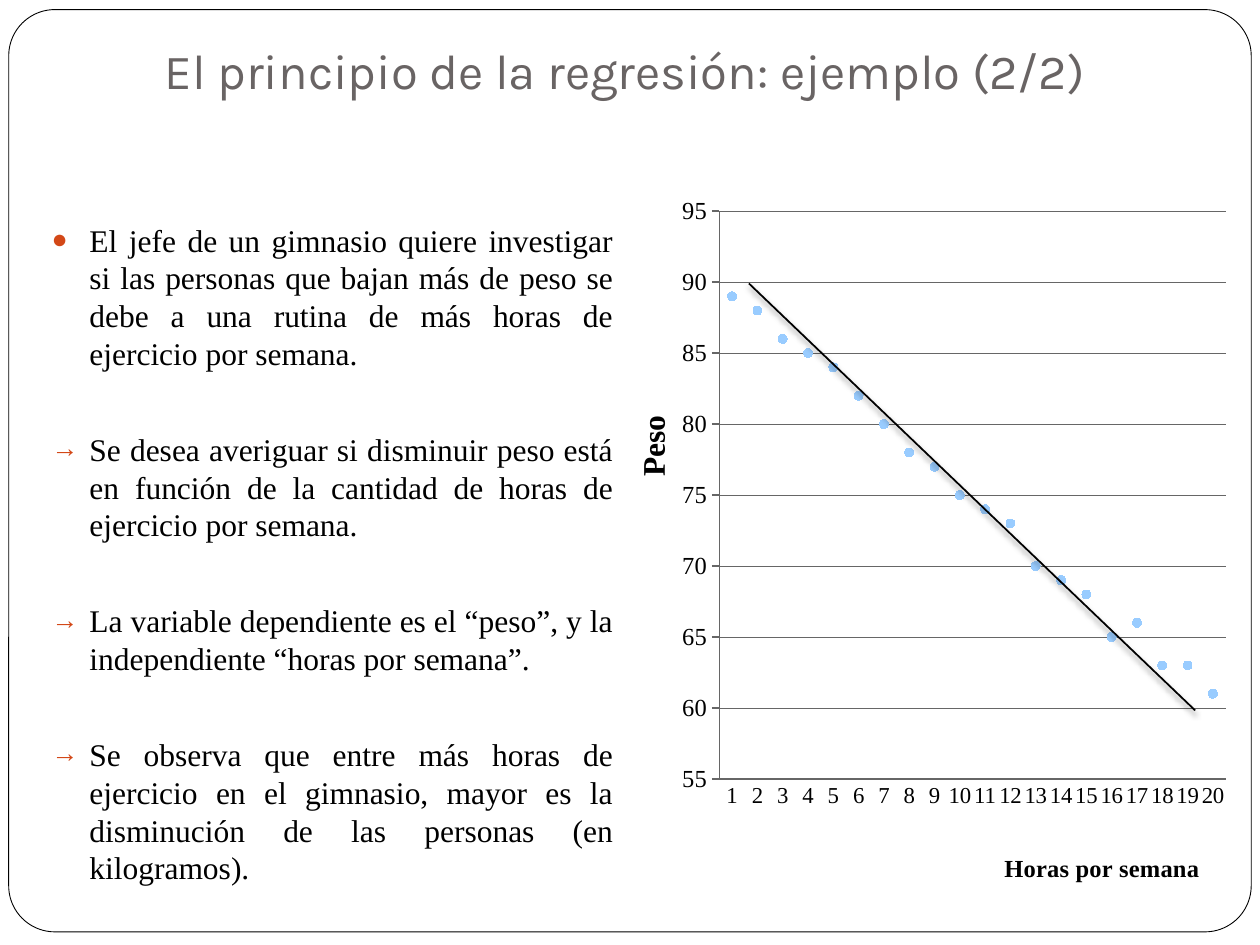
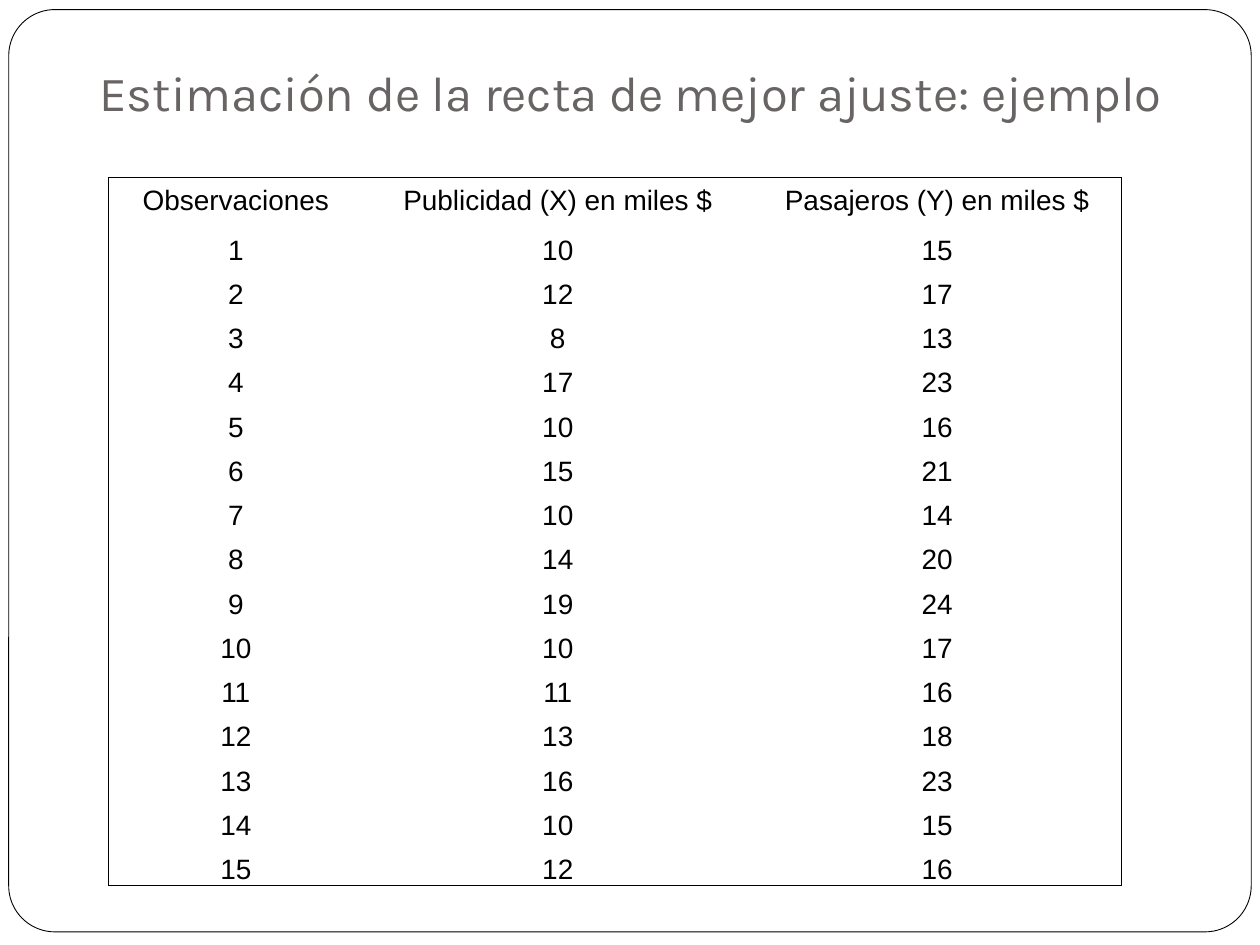
from lxml import etree
from pptx import Presentation
from pptx.chart.data import CategoryChartData
from pptx.dml.color import RGBColor
from pptx.enum.chart import XL_CHART_TYPE as CHART, XL_MARKER_STYLE as MARKER
from pptx.enum.chart import XL_TICK_MARK as TICK
from pptx.enum.shapes import MSO_CONNECTOR as CONNECTOR, MSO_SHAPE as SHAPE
from pptx.enum.text import MSO_ANCHOR as ANCHOR, MSO_AUTO_SIZE as AUTO, PP_ALIGN as ALIGN
from pptx.oxml.ns import qn
from pptx.util import Pt

BLACK, WHITE, GREY, ORANGE, BLUE, GRID = "000000", "FFFFFF", "696464", "D34817", "99CCFF", "666666"
SERIF, SANS, HEADING = "Times New Roman", "Arial", "Karla"
NO_TABLE_STYLE = "{2D5ABB26-0587-4C30-8999-92F81FD0307C}"

POINTS = [
    ("●", "El jefe de un gimnasio quiere investigar si las personas que bajan más de peso "
          "se debe a una rutina de más horas de ejercicio por semana."),
    ("→", "Se desea averiguar si disminuir peso está en función de la cantidad de horas "
          "de ejercicio por semana."),
    ("→", "La variable dependiente es el “peso”, y la independiente “horas por semana”."),
    ("→", "Se observa que entre más horas de ejercicio en el gimnasio, mayor es la "
          "disminución de las personas (en kilogramos)."),
]
WEIGHTS = [89, 88, 86, 85, 84, 82, 80, 78, 77, 75, 74, 73, 70, 69, 68, 65, 66, 63, 63, 61]
HEADERS = ["Observaciones", "Publicidad (X) en miles $", "Pasajeros (Y) en miles $"]
ADVERTISING = [10, 12, 8, 17, 10, 15, 10, 14, 19, 10, 11, 13, 16, 10, 12]
PASSENGERS = [15, 17, 13, 23, 16, 21, 14, 20, 24, 17, 16, 18, 23, 15, 16]


def rgb(value):
    return RGBColor.from_string(value)


def assign(obj, **values):
    for name, value in values.items():
        setattr(obj, name, value)


def sub(parent, tag, **attrs):
    """Append an XML child and return it."""
    return etree.SubElement(parent, qn(tag), {k: str(v) for k, v in attrs.items()})


def style_font(font, size, name=SERIF, color=BLACK, bold=False):
    assign(font, size=Pt(size), name=name, bold=bold)
    font.color.rgb = rgb(color)


def style_line(line, color, width):
    line.color.rgb = rgb(color)
    line.width = Pt(width)


def place(sp, left, top, width, height):
    assign(sp, left=Pt(left), top=Pt(top), width=Pt(width), height=Pt(height))


def set_bullet(p, char):
    pPr = p._p.get_or_add_pPr()
    pPr.set("marL", str(Pt(21.6)))
    pPr.set("indent", str(Pt(-21.6)))
    sub(sub(pPr, "a:buClr"), "a:srgbClr", val=ORANGE)
    sub(pPr, "a:buSzPct", val=85000)
    sub(pPr, "a:buFont", typeface=SERIF)
    sub(pPr, "a:buChar", char=char)


def set_layout(element, index, inner=False, **fractions):
    """Give a chart part a manual place, in fractions of the chart."""
    for old in element.findall(qn("c:layout")):
        element.remove(old)
    layout = etree.Element(qn("c:layout"))
    manual = sub(layout, "c:manualLayout")
    if inner:
        sub(manual, "c:layoutTarget", val="inner")
    for axis in "xy":
        sub(manual, f"c:{axis}Mode", val="edge")
    for name, value in fractions.items():
        sub(manual, f"c:{name}", val=value)
    element.insert(index, layout)


def set_borders(cell, sides):
    tcPr = cell._tc.get_or_add_tcPr()
    for side in sides:
        ln = sub(tcPr, f"a:ln{side}", w=Pt(0.5))
        sub(sub(ln, "a:solidFill"), "a:srgbClr", val=BLACK)


class Deck:
    def __init__(self):
        self.prs = Presentation()
        assign(self.prs, slide_width=Pt(720), slide_height=Pt(540))
        self.slide = None

    def add_slide(self, layout):
        self.slide = self.prs.slides.add_slide(self.prs.slide_layouts[layout])

    def master_frame(self):
        """Draw the rounded frame and move it behind everything, into the master."""
        sp = self.slide.shapes.add_shape(
            SHAPE.ROUNDED_RECTANGLE, Pt(5), Pt(5.5), Pt(710), Pt(527))
        sp.adjustments[0] = 0.05
        sp.shadow.inherit = False
        sp.fill.solid()
        sp.fill.fore_color.rgb = rgb(WHITE)
        style_line(sp.line, BLACK, 0.5)
        self.prs.slide_master.shapes._spTree.insert(2, sp._element)

    def title(self, text, *box):
        sp = self.slide.shapes.title
        place(sp, *box)
        tf = sp.text_frame
        assign(tf, text=text, word_wrap=True, auto_size=AUTO.NONE,
               vertical_anchor=ANCHOR.BOTTOM, margin_left=Pt(7.2), margin_right=Pt(7.2),
               margin_top=Pt(3.6), margin_bottom=Pt(7.2))
        p = tf.paragraphs[0]
        p.alignment = ALIGN.CENTER
        style_font(p.runs[0].font, 28, HEADING, GREY)

    def bullets(self, items, *box):
        sp = self.slide.placeholders[1]
        place(sp, *box)
        tf = sp.text_frame
        assign(tf, text="\n".join(text for _, text in items), word_wrap=True,
               auto_size=AUTO.NONE, vertical_anchor=ANCHOR.TOP)
        for i, (p, (char, _)) in enumerate(zip(tf.paragraphs, items)):
            assign(p, alignment=ALIGN.JUSTIFY, line_spacing=1.0,
                   space_before=Pt(33.2 if i else 5.8))
            set_bullet(p, char)
            style_font(p.runs[0].font, 18)

    def axis(self, axis, title, title_size, label_size, tick, x, y):
        axis.has_title = True
        tf = axis.axis_title.text_frame
        tf.text = title
        style_font(tf.paragraphs[0].runs[0].font, title_size, bold=True)
        set_layout(axis.axis_title._element, 1, x=x, y=y)
        assign(axis, major_tick_mark=tick, minor_tick_mark=TICK.NONE)
        style_font(axis.tick_labels.font, label_size)
        style_line(axis.format.line, GRID, 1)

    def dot_chart(self, values, *box):
        data = CategoryChartData()
        data.categories = [str(i + 1) for i in range(len(values))]
        data.add_series("Series 1", values)
        chart = self.slide.shapes.add_chart(
            CHART.LINE_MARKERS, *map(Pt, box), data).chart
        assign(chart, has_legend=False, has_title=False)
        style_font(chart.font, 10)
        set_layout(chart._chartSpace.chart.plotArea, 0, inner=True,
                   x=0.154, y=0.074, w=0.823, h=0.746)
        chart.plots[0].vary_by_categories = False
        series = chart.plots[0].series[0]
        series.smooth = False
        series.format.line.fill.background()
        marker = series.marker
        assign(marker, style=MARKER.CIRCLE, size=5)
        marker.format.fill.solid()
        marker.format.fill.fore_color.rgb = rgb(BLUE)
        marker.format.line.fill.background()
        self.axis(chart.category_axis, "Horas por semana", 14, 13, TICK.NONE, 0.61, 0.91)
        value_axis = chart.value_axis
        self.axis(value_axis, "Peso", 18, 14, TICK.OUTSIDE, 0.005, 0.335)
        assign(value_axis, minimum_scale=55, maximum_scale=95, major_unit=5)
        style_line(value_axis.major_gridlines.format.line, GRID, 0.5)

    def shadowed_line(self, *ends):
        cxn = self.slide.shapes.add_connector(CONNECTOR.STRAIGHT, *map(Pt, ends))
        style_line(cxn.line, BLACK, 1)
        effects = sub(cxn._element.spPr, "a:effectLst")
        shadow = sub(effects, "a:outerShdw", blurRad=Pt(3), dist=Pt(2),
                     dir=5400000, rotWithShape=0)
        sub(sub(shadow, "a:srgbClr", val=BLACK), "a:alpha", val=50000)

    def table(self, rows, left, top, widths, row_height):
        frame = self.slide.shapes.add_table(
            len(rows), len(widths), Pt(left), Pt(top),
            Pt(sum(widths)), Pt(row_height * len(rows)))
        table = frame.table
        assign(table, first_row=False, horz_banding=False)
        table._tbl.tblPr.find(qn("a:tableStyleId")).text = NO_TABLE_STYLE
        for column, width in zip(table.columns, widths):
            column.width = Pt(width)
        last_row, last_col = len(rows) - 1, len(widths) - 1
        for i, row in enumerate(rows):
            table.rows[i].height = Pt(row_height)
            for j, value in enumerate(row):
                cell = table.cell(i, j)
                outer = {"L": j == 0, "R": j == last_col, "T": i == 0, "B": i == last_row}
                set_borders(cell, [side for side, on in outer.items() if on])
                cell.fill.background()
                assign(cell, text=str(value), margin_left=Pt(0.7), margin_right=Pt(0.7),
                       margin_top=Pt(0.7), margin_bottom=0,
                       vertical_anchor=ANCHOR.BOTTOM if i else ANCHOR.MIDDLE)
                p = cell.text_frame.paragraphs[0]
                p.alignment = ALIGN.CENTER
                style_font(p.runs[0].font, 16, SANS)


def main():
    deck = Deck()

    deck.add_slide(1)
    deck.master_frame()
    deck.title("El principio de la regresión: ejemplo (2/2)", 28, 11.5, 658, 52.5)
    deck.bullets(POINTS, 22.3, 122.4, 335.4, 416)
    deck.dot_chart(WEIGHTS, 357, 88.5, 351.5, 435)
    deck.shadowed_line(428, 162, 683, 406)

    deck.add_slide(5)
    deck.title("Estimación de la recta de mejor ajuste: ejemplo", 20, 26, 680.5, 50.4)
    observations = zip(range(1, len(ADVERTISING) + 1), ADVERTISING, PASSENGERS)
    deck.table([HEADERS, *observations], 62, 101.5, [145.5, 222.5, 211], 25.3)

    deck.prs.save("out.pptx")


if __name__ == "__main__":
    main()
